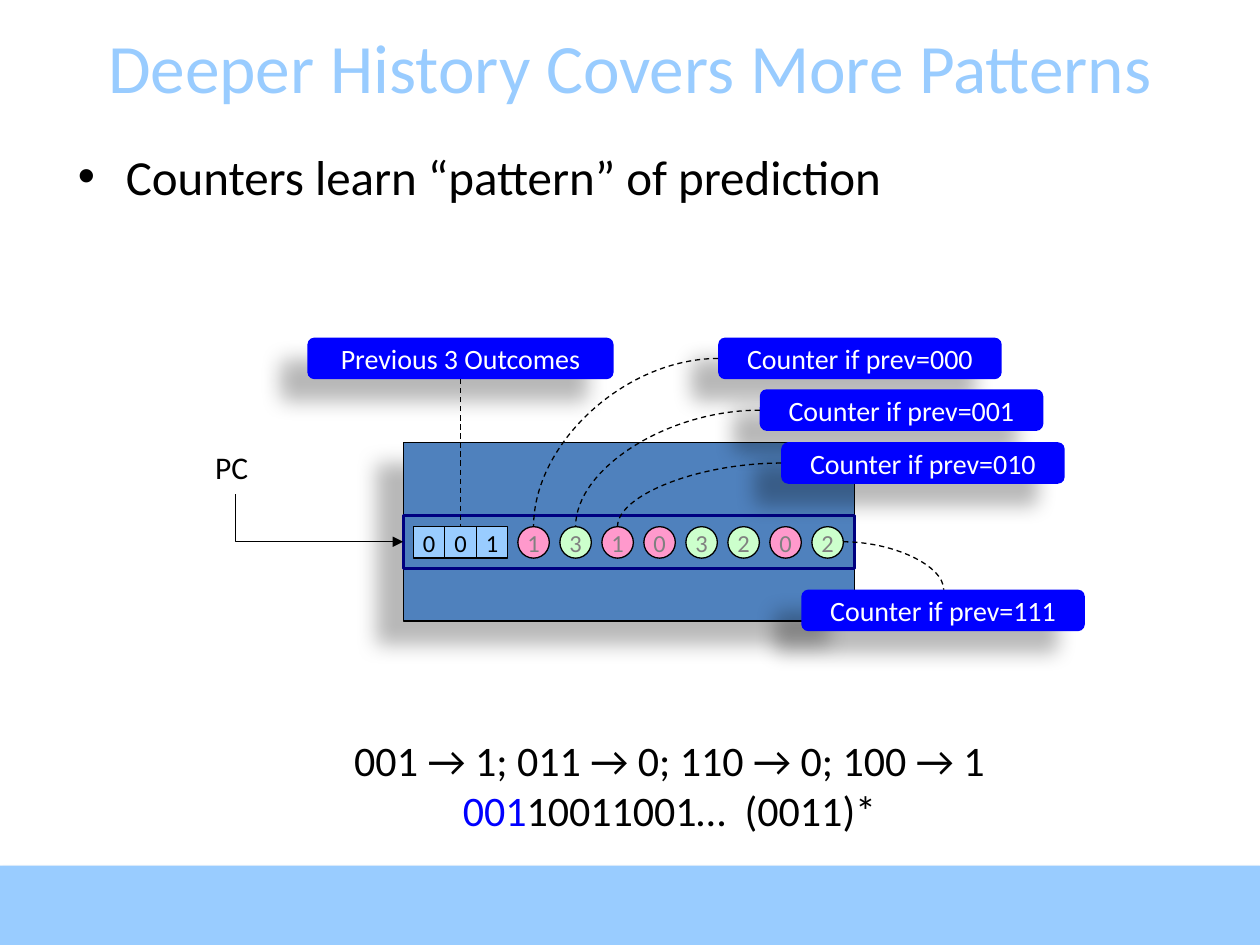
import pptx
import pptx.util
import pptx.dml.color
import pptx.enum.dml
import pptx.enum.shapes
import pptx.enum.text
import pptx.oxml
import pptx.oxml.ns

Inches = pptx.util.Inches
Pt = pptx.util.Pt
RGBColor = pptx.dml.color.RGBColor
SHAPE = pptx.enum.shapes.MSO_SHAPE
CONNECTOR = pptx.enum.shapes.MSO_CONNECTOR
ALIGN = pptx.enum.text.PP_ALIGN
ANCHOR = pptx.enum.text.MSO_ANCHOR

SKY = RGBColor(0x99, 0xCC, 0xFF)
BLUE = RGBColor(0x00, 0x00, 0xFF)
NAVY = RGBColor(0x00, 0x00, 0x80)
STEEL = RGBColor(0x4F, 0x81, 0xBD)
PINK = RGBColor(0xFF, 0x99, 0xCC)
MINT = RGBColor(0xCC, 0xFF, 0xCC)
GRAY = RGBColor(0x80, 0x80, 0x80)
BLACK = RGBColor(0x00, 0x00, 0x00)
WHITE = RGBColor(0xFF, 0xFF, 0xFF)
FONT = "Calibri"
CELL = 0.25
CELL_TOP = 4.18
ROW_MIDDLE = 4.3
LABEL_HEIGHT = 0.33
DEEP_SHADOW = (28, 11.8, 19.7, 141)
FOOTER_SHADOW = (35, 3.1, 1.8, 90)


def sub(parent, tag, **attributes):
    """Append an XML child element with the given attributes."""
    child = pptx.oxml.parse_xml(f"<{tag} {pptx.oxml.ns.nsdecls('a')}/>")
    for name, value in attributes.items():
        child.set(name, str(value))
    parent.append(child)
    return child


def style(p, size, color, align=ALIGN.LEFT):
    """Set the font and alignment of a paragraph."""
    p.alignment = align
    p.font.name = FONT
    p.font.size = Pt(size)
    p.font.color.rgb = color


def add_shadow(sp, alpha, blur, distance, angle):
    """Give a shape a soft black outer shadow."""
    sp.shadow.inherit = False
    effects = sp._element.spPr.find(pptx.oxml.ns.qn("a:effectLst"))
    shadow = sub(effects, "a:outerShdw", blurRad=Pt(blur), dist=Pt(distance),
                 dir=angle * 60000, algn="ctr", rotWithShape=0)
    sub(sub(shadow, "a:srgbClr", val="000000"), "a:alpha", val=alpha * 1000)


def add_box(s, kind, box, fill=None, line=None, width=0.75, shadow=None):
    """Add a preset shape with optional fill, outline and shadow."""
    sp = s.shapes.add_shape(kind, *map(Inches, box))
    sp.shadow.inherit = False
    if fill is None:
        sp.fill.background()
    else:
        sp.fill.solid()
        sp.fill.fore_color.rgb = fill
    if line is None:
        sp.line.fill.background()
    else:
        sp.line.color.rgb = line
        sp.line.width = Pt(width)
    if shadow:
        add_shadow(sp, *shadow)
    return sp


def write_centred(sp, text, size, color):
    """Write one line in the middle of a shape."""
    tf = sp.text_frame
    tf.word_wrap = False
    tf.vertical_anchor = ANCHOR.MIDDLE
    p = tf.paragraphs[0]
    p.text = text
    style(p, size, color, ALIGN.CENTER)


def add_cell(s, kind, left, digit, fill, color):
    """Add a history bit or a counter to the table row."""
    sp = add_box(s, kind, (left, CELL_TOP, CELL, CELL), fill, BLACK)
    write_centred(sp, digit, 14, color)
    return sp


def add_label(s, left, top, width, text):
    """Add a rounded blue label."""
    box = (left, top, width, LABEL_HEIGHT)
    sp = add_box(s, SHAPE.ROUNDED_RECTANGLE, box, BLUE, shadow=DEEP_SHADOW)
    write_centred(sp, text, 16, WHITE)
    return sp


def add_link(s, kind, start, end, preset=None, dashed=True):
    """Add a thin black connector, with an optional preset geometry."""
    link = s.shapes.add_connector(kind, *map(Inches, start + end))
    link.line.color.rgb = BLACK
    link.line.width = Pt(0.75)
    if dashed:
        link.line.dash_style = pptx.enum.dml.MSO_LINE.DASH
    if preset:
        link._element.spPr.find(pptx.oxml.ns.qn("a:prstGeom")).set("prst", preset)
    sub(link._element.spPr, "a:effectLst")
    return link


def add_curve(s, start, end):
    """Add a dashed curve that leaves sideways and arrives vertically."""
    return add_link(s, CONNECTOR.CURVE, start, end, "curvedConnector2")


def add_text(s, box, text, size, wrap=False, align=ALIGN.LEFT):
    """Add a text box with one black paragraph."""
    tf = s.shapes.add_textbox(*map(Inches, box)).text_frame
    tf.word_wrap = wrap
    p = tf.paragraphs[0]
    p.text = text
    style(p, size, BLACK, align)
    return tf


def add_title(s, text):
    """Place and format the title placeholder."""
    title = s.shapes.title
    title.left, title.top, title.width, title.height = map(Inches, (0, 0.21, 10, 0.63))
    title.text_frame.vertical_anchor = ANCHOR.MIDDLE
    p = title.text_frame.paragraphs[0]
    p.text = text
    style(p, 39.6, SKY, ALIGN.CENTER)


def add_bullet(s, text):
    """Add the bulleted body text."""
    tf = add_text(s, (0.52, 1.11, 9, 0.6), text, 28, wrap=True)
    pPr = tf.paragraphs[0]._p.get_or_add_pPr()
    pPr.set("marL", str(Inches(0.38)))
    pPr.set("indent", str(Inches(-0.38)))
    sub(pPr, "a:buFont", typeface="Arial")
    sub(pPr, "a:buChar", char="•")


def add_history_table(s):
    """Draw the history table, its row of bits and counters, and the labels."""
    add_text(s, (1.61, 3.51, 0.51, 0.4), "PC", 18)
    add_box(s, SHAPE.RECTANGLE, (3.2, 3.51, 3.58, 1.42), STEEL, BLACK, shadow=DEEP_SHADOW)
    add_box(s, SHAPE.RECTANGLE, (3.2, 4.09, 3.58, 0.42), None, NAVY, 1.5)
    arrow = add_link(s, CONNECTOR.ELBOW, (3.2, ROW_MIDDLE), (1.87, 3.92),
                     "bentConnector2", dashed=False)
    sub(arrow.line._get_or_add_ln(), "a:headEnd", type="triangle")

    bits = [add_cell(s, SHAPE.RECTANGLE, 3.28 + i * CELL, digit, SKY, BLACK)
            for i, digit in enumerate("001")]
    lefts = [4.11 + i / 3 for i in range(8)]
    for left, digit in zip(lefts, "13103202"):
        add_cell(s, SHAPE.OVAL, left, digit, MINT if digit in "23" else PINK, GRAY)

    outcomes = add_label(s, 2.44, 2.68, 2.43, "Previous 3 Outcomes")
    link = add_link(s, CONNECTOR.STRAIGHT, (3.66, 3.01), (3.66, CELL_TOP))
    link.begin_connect(outcomes, 2)
    link.end_connect(bits[1], 0)

    labels = [(5.7, 2.68, "000"), (6.03, 3.09, "001"), (6.2, 3.51, "010"), (6.36, 4.68, "111")]
    for left, top, history in labels:
        add_label(s, left, top, 2.25, f"Counter if prev={history}")
    for (left, top, _), counter in zip(labels[:3], lefts):
        add_curve(s, (left, top + LABEL_HEIGHT / 2), (counter + CELL / 2, CELL_TOP))
    add_curve(s, (lefts[-1] + CELL, ROW_MIDDLE), (7.49, 4.68))


def add_sequence(s):
    """Write the learned transitions and the repeating sequence."""
    tf = add_text(s, (2.63, 5.78, 5.37, 0.91), "001 → 1; 011 → 0; 110 → 0; 100 → 1",
                  24, align=ALIGN.CENTER)
    p = tf.add_paragraph()
    style(p, 24, BLACK, ALIGN.CENTER)
    for text, color in (("001", BLUE), ("10011001…  (0011)*", BLACK)):
        r = p.add_run()
        r.text = text
        r.font.color.rgb = color


def main():
    """Build the slide and save it."""
    prs = pptx.Presentation()
    prs.slide_width, prs.slide_height = Inches(10), Inches(7.5)
    s = prs.slides.add_slide(prs.slide_layouts[5])
    add_box(s, SHAPE.RECTANGLE, (0, 6.87, 10, 0.63), SKY, shadow=FOOTER_SHADOW)
    add_title(s, "Deeper History Covers More Patterns")
    add_bullet(s, "Counters learn “pattern” of prediction")
    add_history_table(s)
    add_sequence(s)
    prs.save("out.pptx")


if __name__ == "__main__":
    main()
